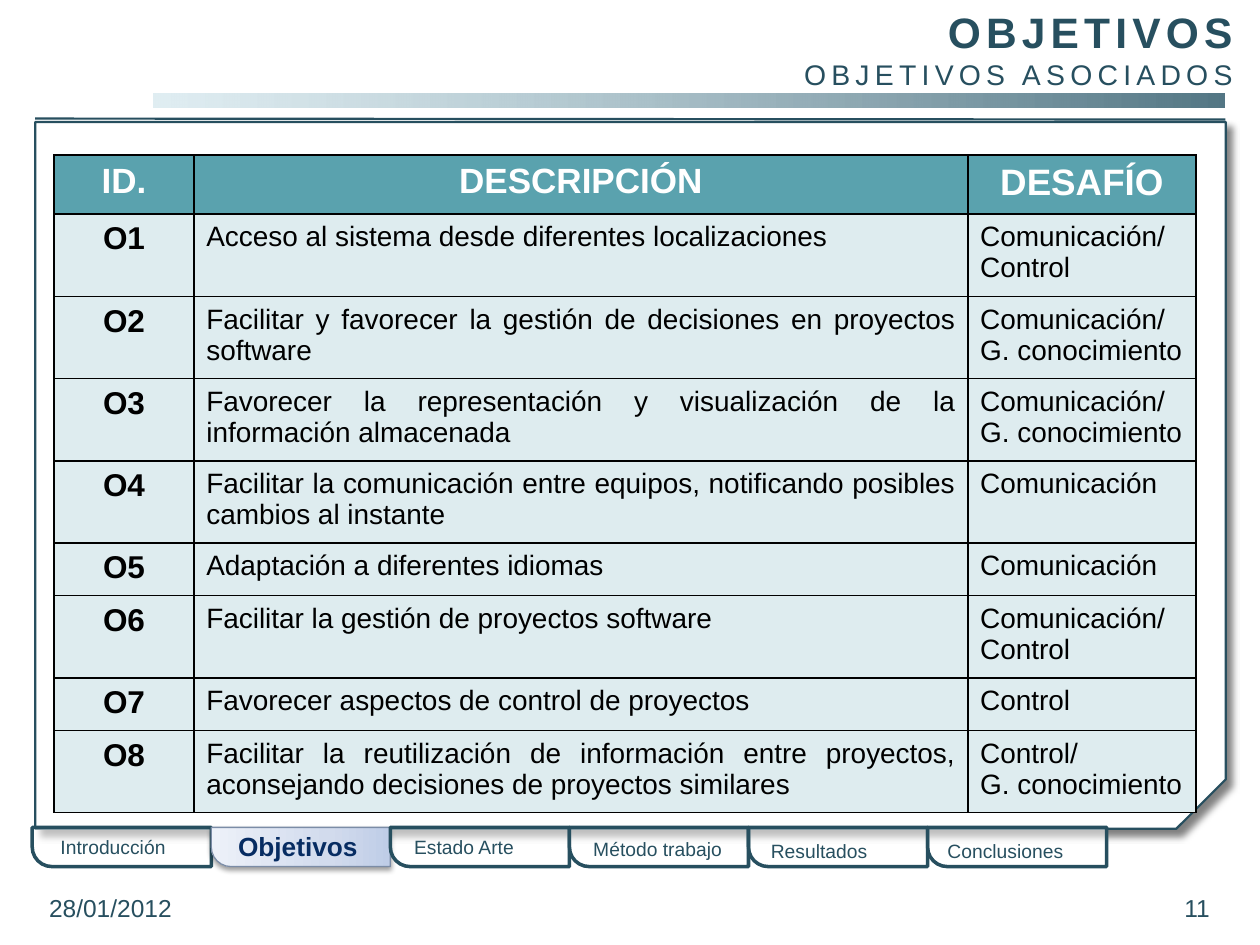
from lxml import etree
from pptx import Presentation
from pptx.dml.color import RGBColor
from pptx.enum.shapes import MSO_CONNECTOR, MSO_SHAPE
from pptx.enum.text import MSO_ANCHOR, PP_ALIGN
from pptx.oxml.ns import qn
from pptx.util import Cm, Pt

LEFT, MID, RIGHT, JUST = PP_ALIGN.LEFT, PP_ALIGN.CENTER, PP_ALIGN.RIGHT, PP_ALIGN.JUSTIFY
TOP, CENTER = MSO_ANCHOR.TOP, MSO_ANCHOR.MIDDLE
RECT, SNIP, ROUND = MSO_SHAPE.RECTANGLE, MSO_SHAPE.SNIP_1_RECTANGLE, MSO_SHAPE.ROUND_1_RECTANGLE
STRAIGHT = MSO_CONNECTOR.STRAIGHT

DARK, WHITE, BLACK, NAVY = "274F5F", "FFFFFF", "000000", "072C62"
HEAD, CELL = "5AA2AE", "DEECEF"

HEADS = [("ID.", 20), ("DESCRIPCIÓN", 20), ("DESAFÍO", 21)]
GOALS = [
    ("Acceso al sistema desde diferentes localizaciones", "Comunicación/Control"),
    ("Facilitar y favorecer la gestión de decisiones en proyectos software",
     "Comunicación/G. conocimiento"),
    ("Favorecer la representación y visualización de la información almacenada",
     "Comunicación/G. conocimiento"),
    ("Facilitar la comunicación entre equipos, notificando posibles cambios al instante",
     "Comunicación"),
    ("Adaptación a diferentes idiomas", "Comunicación"),
    ("Facilitar la gestión de proyectos software", "Comunicación/Control"),
    ("Favorecer aspectos de control de proyectos", "Control"),
    ("Facilitar la reutilización de información entre proyectos, "
     "aconsejando decisiones de proyectos similares", "Control/\nG. conocimiento"),
]
COLS = [2.82, 15.6, 4.6]
ROWS = [1.13, 1.67, 1.6, 1.61, 1.61, 1.03, 1.6, 1.02, 1.61]
TABS = [
    ("Introducción", 0.97, 16.71, 3.84),
    ("Objetivos", 4.55, 16.61, 3.02),
    ("Estado Arte", 8.1, 16.71, 2.64),
    ("Método trabajo", 11.71, 16.76, 3.38),
    ("Resultados", 15.29, 16.79, 2.64),
    ("Conclusiones", 18.85, 16.79, 3.2),
]
ACTIVE = "Objetivos"
TAB_W, TAB_H, TAB_X, TAB_Y = 3.61, 0.79, 0.65, 16.68


def color(code):
    return RGBColor.from_string(code)


def node(parent, tag, **attrs):
    return etree.SubElement(parent, qn(tag), {k: str(v) for k, v in attrs.items()})


def tint(parent, code, alpha=100):
    item = node(parent, "a:srgbClr", val=code)
    if alpha < 100:
        node(item, "a:alpha", val=alpha * 1000)


def write(frame, text, size=16, bold=False, ink=DARK, align=LEFT, space=0):
    frame.word_wrap = True
    for i, line in enumerate(text.split("\n")):
        para = frame.paragraphs[0] if i == 0 else frame.add_paragraph()
        para.alignment = align
        run = para.add_run()
        run.text = line
        font = run.font
        font.name, font.size, font.bold = "Arial", Pt(size), bold
        font.color.rgb = color(ink)
        if space:
            run._r.get_or_add_rPr().set("spc", str(space * 100))


def box(x, y, w, h, anchor=TOP, pad=None):
    frame = slide.shapes.add_textbox(Cm(x), Cm(y), Cm(w), Cm(h)).text_frame
    frame.vertical_anchor = anchor
    if pad:
        frame.margin_left = frame.margin_right = Cm(pad[0])
        frame.margin_top = frame.margin_bottom = Cm(pad[1])
    return frame


def block(kind, x, y, w, h, fill=WHITE, alpha=100, line=None, flip=None, adj=None):
    shape = slide.shapes.add_shape(kind, Cm(x), Cm(y), Cm(w), Cm(h))
    shape.shadow.inherit = False
    shape.fill.solid()
    shape.fill.fore_color.rgb = color(fill)
    if alpha < 100:
        item = shape._element.spPr.find(qn("a:solidFill"))[0]
        node(item, "a:alpha", val=alpha * 1000)
    if line:
        shape.line.color.rgb = color(line[0])
        shape.line.width = Pt(line[1])
    else:
        shape.line.fill.background()
    if flip:
        shape._element.spPr.find(qn("a:xfrm")).set(flip, "1")
    if adj is not None:
        shape.adjustments[0] = adj
    return shape


def blend(shape, stops, angle):
    shape.fill.gradient()
    shape.fill.gradient_angle = angle
    group = shape._element.spPr.find(qn("a:gradFill")).find(qn("a:gsLst"))
    for old in list(group):
        group.remove(old)
    for pos, code, alpha in stops:
        tint(node(group, "a:gs", pos=pos * 1000), code, alpha)


def shade(shape, alpha, blur, dist, angle):
    effect = shape._element.spPr.find(qn("a:effectLst"))
    item = node(effect, "a:outerShdw", blurRad=Pt(blur), dist=Pt(dist),
                dir=angle * 60000, algn="tl", rotWithShape=0)
    tint(item, BLACK, alpha)


def fill_cell(cell, text, fill, **style):
    cell.margin_left = cell.margin_right = Cm(0.25)
    cell.margin_top = cell.margin_bottom = Cm(0.15)
    props = cell._tc.get_or_add_tcPr()
    for side in ("a:lnL", "a:lnR", "a:lnT", "a:lnB"):
        tint(node(node(props, side, w=Pt(1)), "a:solidFill"), BLACK)
    cell.fill.solid()
    cell.fill.fore_color.rgb = color(fill)
    write(cell.text_frame, text, **style)


deck = Presentation()
deck.slide_width, deck.slide_height = Cm(25.4), Cm(19.05)
slide = deck.slides.add_slide(deck.slide_layouts[6])

bar = block(RECT, 3.1, 1.88, 21.59, 0.28)
blend(bar, [(0, "D0E5EC", 66), (100, "547785", 100)], 0)
card = block(SNIP, 0.71, 2.46, 24, 14.25, line=(DARK, 1.25), flip="flipV", adj=0.07)
shade(card, 50, 4, 5, 45)
rule = slide.shapes.add_connector(STRAIGHT, Cm(0.71), Cm(2.39), Cm(24.7), Cm(2.41))
rule.line.color.rgb = color(DARK)
rule.line.width = Pt(1.25)
node(rule._element.spPr, "a:effectLst")

for i, (name, x, y, w) in enumerate(TABS):
    active = name == ACTIVE
    tab = block(ROUND, TAB_X + i * TAB_W + (TAB_W - TAB_H) / 2,
                TAB_Y - (TAB_W - TAB_H) / 2, TAB_H, TAB_W, alpha=100 if active else 50,
                line=("7B8CA6", 0.75) if active else (DARK, 2), flip="flipH", adj=0.5)
    tab.rotation = 270
    if active:
        blend(tab, [(0, "BFCDE7", 100), (35, "D2DBED", 100), (100, "EDF1F9", 100)], 90)
        shade(tab, 38, 3.1, 1.6, 90)
    write(box(x, y, w, 0.89 if active else 0.74), name, size=15 if active else 11,
          bold=active, ink=NAVY if active else DARK)

for text, x, align in [("28/01/2012", 0.69, LEFT), ("11", 18.77, RIGHT)]:
    write(box(x, 17.93, 5.92, 0.74, CENTER, (0.3, 0.15)), text, size=14, align=align)

title = box(3.1, 0, 22, 1.8)
write(title, "OBJETIVOS", size=24.3, bold=True, align=RIGHT, space=3)
title.add_paragraph()
sub = title.paragraphs[1]
sub.alignment = RIGHT
run = sub.add_run()
run.text = "OBJETIVOS ASOCIADOS"
run.font.name, run.font.size = "Arial", Pt(16.2)
run.font.color.rgb = color(DARK)
run._r.get_or_add_rPr().set("spc", "300")

grid = slide.shapes.add_table(len(ROWS), len(COLS), Cm(1.09), Cm(3.12),
                              Cm(sum(COLS)), Cm(sum(ROWS))).table
for col, w in zip(grid.columns, COLS):
    col.width = Cm(w)
for row, h in zip(grid.rows, ROWS):
    row.height = Cm(h)
for c, (text, size) in enumerate(HEADS):
    fill_cell(grid.cell(0, c), text, HEAD, size=size, bold=True, ink=WHITE, align=MID)
for r, goal in enumerate(GOALS, 1):
    fill_cell(grid.cell(r, 0), f"O{r}", CELL, size=18, bold=True, ink=BLACK, align=MID)
    for c, text in enumerate(goal, 1):
        fill_cell(grid.cell(r, c), text, CELL, ink=BLACK, align=JUST)

deck.save("out.pptx")
